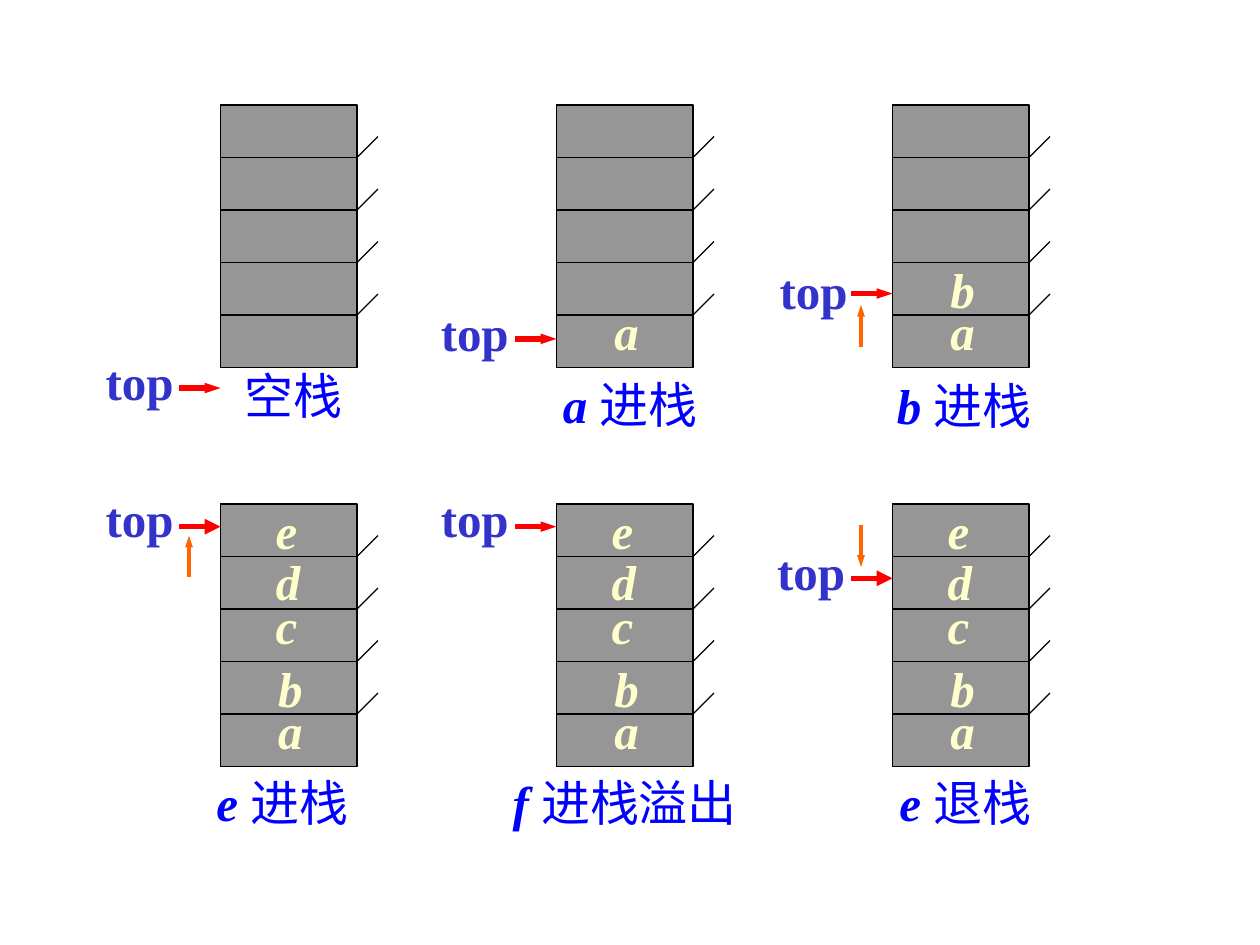
from lxml import etree
from pptx import Presentation
from pptx import util as u
from pptx.dml.color import RGBColor
from pptx.enum import shapes, text
from pptx.oxml import ns

BLACK = RGBColor(0x00, 0x00, 0x00)
GRAY = RGBColor(0x96, 0x96, 0x96)
RED = RGBColor(0xFF, 0x00, 0x00)
ORANGE = RGBColor(0xFF, 0x66, 0x00)
BLUE = RGBColor(0x00, 0x00, 0xFF)
INDIGO = RGBColor(0x33, 0x33, 0xCC)
CREAM = RGBColor(0xFF, 0xFF, 0xCC)

COLS = [1.75 + n * 8 / 3 for n in range(3)]
ROWS = [5 / 6, 4]
WIDE, STEP, CELLS = 13 / 12, 5 / 12, 5
SLANT = 1 / 6
TALL = 0.57

STACKS = [
    {"col": 0, "row": 0, "items": "", "name": ("", "空栈"), "box": (1.84, 2.85, 1),
     "top": (0.74, 2.74), "mark": 3.08, "head": "sm"},
    {"col": 1, "row": 0, "items": "a", "name": ("a ", "进栈"), "box": (4.37, 2.92, 1.36),
     "top": (3.4, 2.35), "mark": 2.69, "head": "sm"},
    {"col": 1, "row": 1, "items": "abcde", "name": ("f ", "进栈溢出"), "box": (3.97, 6.08, 2.07),
     "top": (3.4, 3.83), "mark": 4.18, "head": "sm"},
    {"col": 2, "row": 0, "items": "ab", "name": ("b ", "进栈"), "box": (7.02, 2.93, 1.36),
     "top": (6.09, 2.02), "mark": 2.33, "head": "sm", "move": (2.75, 2.42)},
    {"col": 0, "row": 1, "items": "abcde", "name": ("e ", "进栈"), "box": (1.62, 6.08, 1.34),
     "top": (0.74, 3.83), "mark": 4.18, "head": "med", "move": (4.58, 4.25)},
    {"col": 2, "row": 1, "items": "abcde", "name": ("e ", "退栈"), "box": (7.04, 6.08, 1.34),
     "top": (6.07, 4.25), "mark": 4.59, "head": "med", "move": (4.17, 4.5)},
]

SPOTS = {
    "a": (0.36, 1.51, 0.39),
    "b": (0.36, 1.18, 0.39),
    "c": (0.34, 0.68, 0.37),
    "d": (0.34, 0.33, 0.39),
    "e": (0.34, -0.08, 0.37),
}

BASE = {"name": "Times New Roman", "size": u.Pt(28)}
BOLD = {**BASE, "bold": True, "italic": False}
SLOPE = {**BASE, "bold": True, "italic": True}
PLAIN = {**BASE, "bold": False, "italic": False}
FRAME = {
    "word_wrap": False,
    "auto_size": text.MSO_AUTO_SIZE.SHAPE_TO_FIT_TEXT,
    "margin_left": u.Inches(0.1),
    "margin_right": u.Inches(0.1),
    "margin_top": u.Inches(0.05),
    "margin_bottom": u.Inches(0.05),
}


def apply(obj, form):
    for key, val in form.items():
        setattr(obj, key, val)


def line(group, x1, y1, x2, y2, color=BLACK, width=0.75, head=None):
    ends = [u.Inches(v) for v in (x1, y1, x2, y2)]
    link = group.shapes.add_connector(shapes.MSO_CONNECTOR.STRAIGHT, *ends)
    link.line.color.rgb = color
    link.line.width = u.Pt(width)
    if head:
        etree.SubElement(link.line._get_or_add_ln(), ns.qn("a:tailEnd"),
                         type="triangle", w=head, len="med")
    etree.SubElement(link._element.spPr, ns.qn("a:effectLst"))


def label(group, x, y, width, runs, color):
    box = group.shapes.add_textbox(*[u.Inches(v) for v in (x, y, width, TALL)])
    apply(box.text_frame, FRAME)
    para = box.text_frame.paragraphs[0]
    for words, form in runs:
        run = para.add_run()
        run.text = words
        apply(run.font, form)
        run.font.color.rgb = color


def grid(group, x, y):
    spot = [u.Inches(v) for v in (x, y, WIDE, STEP * CELLS)]
    body = group.shapes.add_shape(shapes.MSO_SHAPE.RECTANGLE, *spot)
    body.shadow.inherit = False
    body.fill.solid()
    body.fill.fore_color.rgb = GRAY
    body.line.color.rgb = BLACK
    body.line.width = u.Pt(0.75)
    edge = x + WIDE
    for n in range(1, CELLS):
        level = y + n * STEP
        line(group, x, level, edge, level)
        line(group, edge, level, edge + SLANT, level - SLANT)


def draw(slide, stack):
    group = slide.shapes.add_group_shape()
    x, y = COLS[stack["col"]], ROWS[stack["row"]]
    grid(group, x, y)
    for item in stack["items"]:
        dx, dy, width = SPOTS[item]
        label(group, x + dx, y + dy, width, [(item, SLOPE)], CREAM)
    label(group, *stack["top"], 0.74, [("top", BOLD)], INDIGO)
    line(group, x - 0.33, stack["mark"], x, stack["mark"], RED, 3, stack["head"])
    if "move" in stack:
        start, end = stack["move"]
        line(group, x - 0.25, start, x - 0.25, end, ORANGE, 2.25, "sm")
    runs = [(words, form) for words, form in zip(stack["name"], (SLOPE, PLAIN)) if words]
    label(group, *stack["box"], runs, BLUE)


def main():
    deck = Presentation()
    deck.slide_width, deck.slide_height = u.Inches(10), u.Inches(7.5)
    slide = deck.slides.add_slide(deck.slide_layouts[6])
    for stack in STACKS:
        draw(slide, stack)
    deck.save("out.pptx")


if __name__ == "__main__":
    main()
